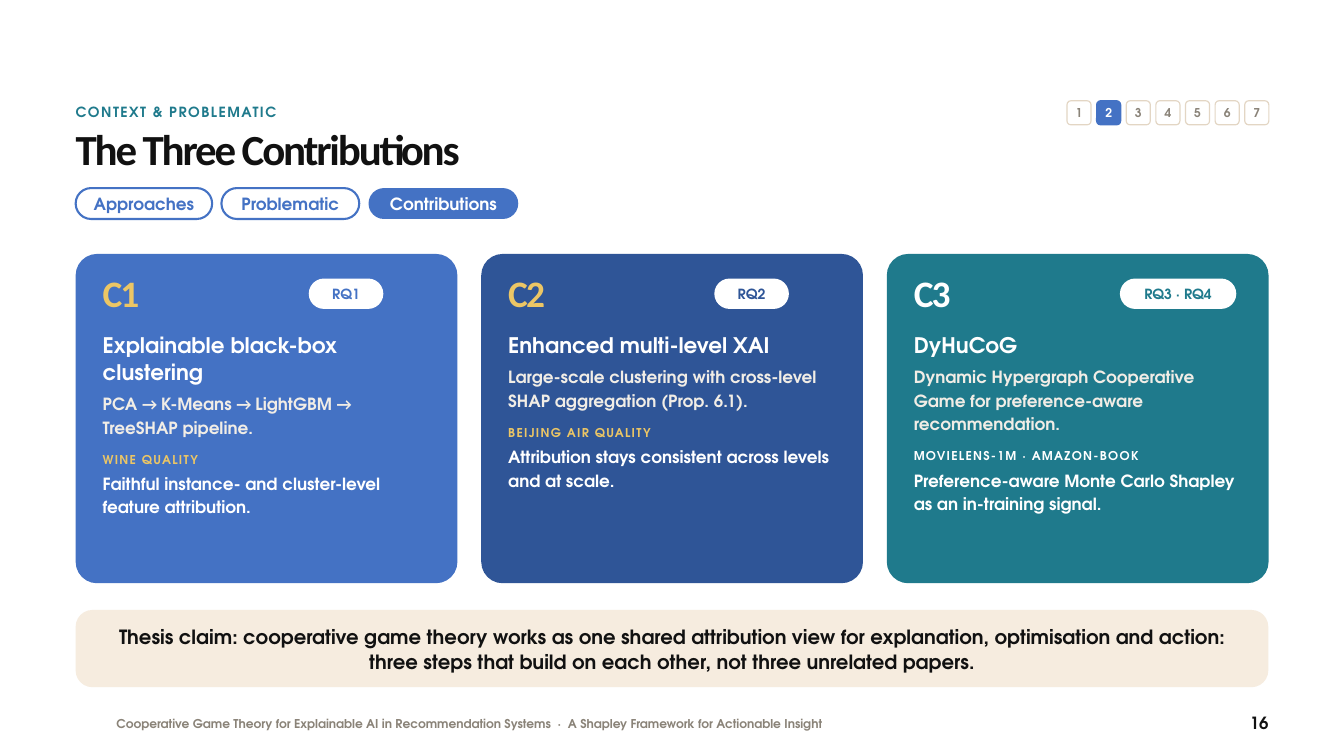
from pptx import Presentation
from pptx import util as u
from pptx.dml.color import RGBColor
from pptx.enum import shapes, text

BODY, HEAD = "TeX Gyre Adventor", "Calibri"
BLUE, NAVY, TEAL, GOLD = "4472C4", "2F5597", "1F7A8C", "ECC665"
WHITE, INK, GREY, PALE = "FFFFFF", "111111", "8A8378", "F1EDE6"
SAND, CREAM = "E3D6C4", "F6ECDF"
ARROW = "→ "
LEFT, WIDE = 2.86, 45.08
MID, RIGHT = text.PP_ALIGN.CENTER, text.PP_ALIGN.RIGHT


def tint(code):
    return RGBColor.from_string(code)


class Deck:
    def __init__(self, wide, high):
        self.prs = Presentation()
        self.prs.slide_width, self.prs.slide_height = u.Cm(wide), u.Cm(high)
        self.slide = self.prs.slides.add_slide(self.prs.slide_layouts[6])

    def frame(self, shape, pad=(0, 0), anchor=text.MSO_ANCHOR.TOP):
        frame = shape.text_frame
        frame.word_wrap = True
        frame.vertical_anchor = anchor
        frame.margin_left = frame.margin_right = u.Cm(pad[0])
        frame.margin_top = frame.margin_bottom = u.Cm(pad[1])
        return frame

    def style(self, para, words, size, color, lead, font=BODY, track=0,
              align=None, before=0):
        """Fill one paragraph; arrows are set in the heading font."""
        first, *rest = words.split(ARROW)
        para.text = first
        for part in rest:
            para.add_run().text = ARROW
            para.add_run().text = part
        para.line_spacing = u.Pt(lead)
        para.space_before = u.Pt(before)
        if align is not None:
            para.alignment = align
        for run in para.runs:
            run.font.name = HEAD if run.text == ARROW else font
            run.font.size = u.Pt(size)
            run.font.bold = True
            run.font.color.rgb = tint(color)
            if track:
                run._r.get_or_add_rPr().set("spc", str(round(track * 100)))

    def label(self, box, *lines):
        """Add a text box; each line is (words, size, color, lead, options)."""
        shape = self.slide.shapes.add_textbox(*map(u.Cm, box))
        frame = self.frame(shape)
        for i, (words, size, color, lead, opts) in enumerate(lines):
            para = frame.add_paragraph() if i else frame.paragraphs[0]
            self.style(para, words, size, color, lead, **opts)

    def panel(self, box, bend, fill=None, line=None, weight=2.25):
        shape = self.slide.shapes.add_shape(
            shapes.MSO_SHAPE.ROUNDED_RECTANGLE, *map(u.Cm, box))
        shape.shadow.inherit = False
        shape.adjustments[0] = bend
        if fill:
            shape.fill.solid()
            shape.fill.fore_color.rgb = tint(fill)
        else:
            shape.fill.background()
        if line:
            shape.line.color.rgb = tint(line)
            shape.line.width = u.Pt(weight)
        else:
            shape.line.fill.background()
        return shape

    def badge(self, box, words, size, color, lead, bend=0.5, pad=(0.13, 0),
              **look):
        """Add a rounded panel with centred text."""
        shape = self.panel(box, bend, **look)
        frame = self.frame(shape, pad, text.MSO_ANCHOR.MIDDLE)
        self.style(frame.paragraphs[0], words, size, color, lead, align=MID)

    def card(self, x, code, quest, span, fill, accent, name, method, data,
             result):
        self.panel((x, 9.6, 14.43, 12.45), 0.065, fill=fill)
        self.label((x + 1.02, 10.36, 12.4, 1.78),
                   (code, 40, accent, 44, dict(font=HEAD, track=-2)))
        self.badge((x + 8.85, 10.57, span, 1.07), quest, 15, fill, 18,
                   fill=WHITE, line=WHITE)
        self.label((x + 1.02, 12.52, 12.4, 9.14),
                   (name, 23, WHITE, 28.8, {}),
                   (method, 18, PALE, 25.2, dict(before=6)),
                   (data, 13, accent, 17, dict(before=14, track=1.4)),
                   (result, 18, WHITE, 25.2, dict(before=4)))


def main():
    deck = Deck(50.8, 28.58)

    # Footer
    deck.label((4.4, 27.08, 35.56, 0.76),
               ("Cooperative Game Theory for Explainable AI in Recommendation "
                "Systems  ·  A Shapley Framework for Actionable Insight",
                13, GREY, 16, {}))
    deck.label((44.9, 26.92, 3.05, 0.91),
               ("16", 18, INK, 22, dict(align=RIGHT)))

    # Heading
    deck.label((LEFT, 3.86, 35.94, 0.91),
               ("CONTEXT & PROBLEMATIC", 15, TEAL, 20, dict(track=1.6)))
    deck.label((LEFT, 4.78, WIDE, 2.03),
               ("The Three Contributions", 46, INK, 50.6,
                dict(font=HEAD, track=-2.3)))

    # Section tracker
    for i in range(7):
        here = i == 1
        deck.badge((40.33 + 1.12 * i, 3.81, 0.91, 0.91), str(i + 1), 13,
                   WHITE if here else GREY, 15, bend=0.167, pad=(0, 0),
                   fill=BLUE if here else WHITE, line=BLUE if here else SAND,
                   weight=1.25)

    # Topic pills
    x = LEFT
    for name, span, here in (("Approaches", 5.16, False),
                             ("Problematic", 5.21, False),
                             ("Contributions", 5.66, True)):
        look = dict(fill=BLUE) if here else dict(line=BLUE)
        deck.badge((x, 7.11, span, 1.17), name, 18,
                   WHITE if here else BLUE, 21.6, **look)
        x += span + 0.35

    # Contribution cards
    cards = (
        ("C1", "RQ1", 2.74, BLUE, GOLD, "Explainable black-box clustering",
         "PCA → K-Means → LightGBM → TreeSHAP pipeline.", "WINE QUALITY",
         "Faithful instance- and cluster-level feature attribution."),
        ("C2", "RQ2", 2.74, NAVY, GOLD, "Enhanced multi-level XAI",
         "Large-scale clustering with cross-level SHAP aggregation "
         "(Prop. 6.1).", "BEIJING AIR QUALITY",
         "Attribution stays consistent across levels and at scale."),
        ("C3", "RQ3 · RQ4", 4.32, TEAL, WHITE, "DyHuCoG",
         "Dynamic Hypergraph Cooperative Game for preference-aware "
         "recommendation.", "MOVIELENS-1M · AMAZON-BOOK",
         "Preference-aware Monte Carlo Shapley as an in-training signal."),
    )
    for i, card in enumerate(cards):
        deck.card(LEFT + 15.33 * i, *card)

    # Thesis claim
    deck.badge((LEFT, 23.06, WIDE, 2.92),
               "Thesis claim: cooperative game theory works as one shared "
               "attribution view for explanation, optimisation and action: "
               "three steps that build on each other, not three unrelated "
               "papers.", 21, INK, 27, bend=0.217, pad=(1.27, 0.25),
               fill=CREAM)

    deck.prs.save("out.pptx")


if __name__ == "__main__":
    main()
